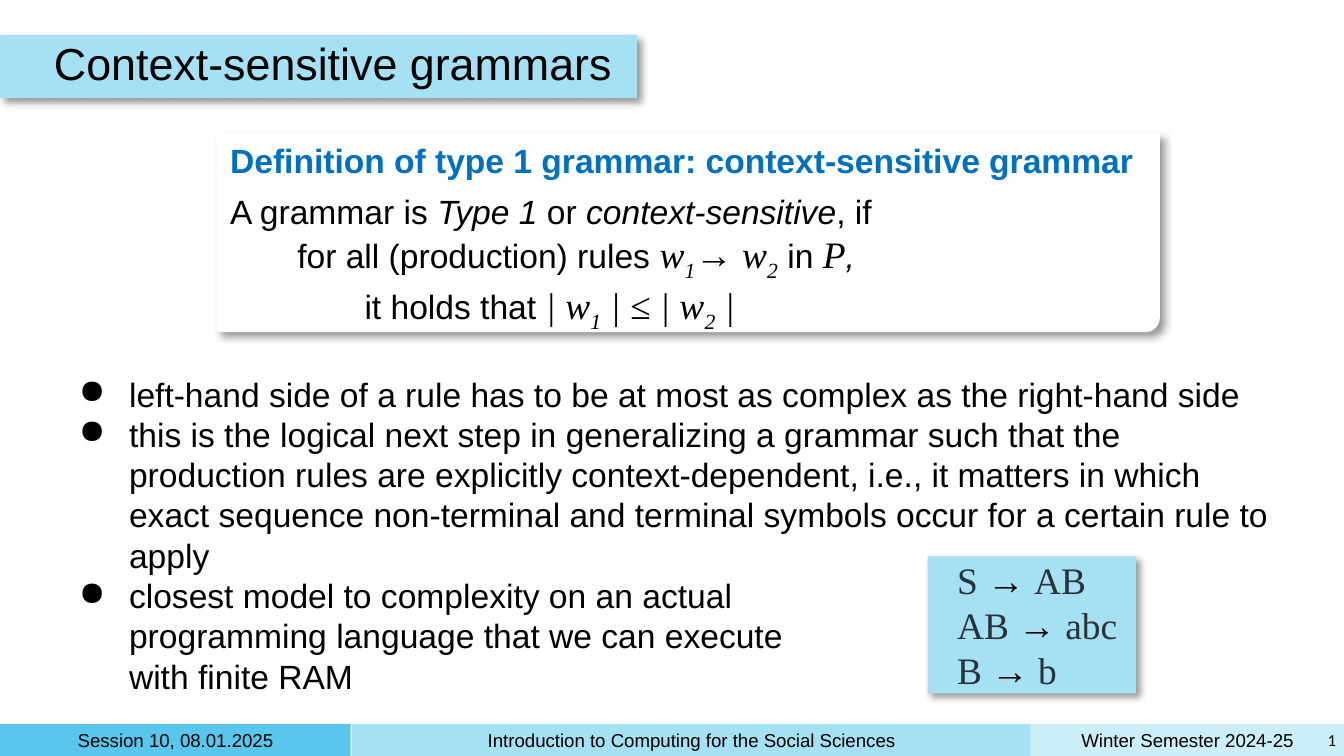
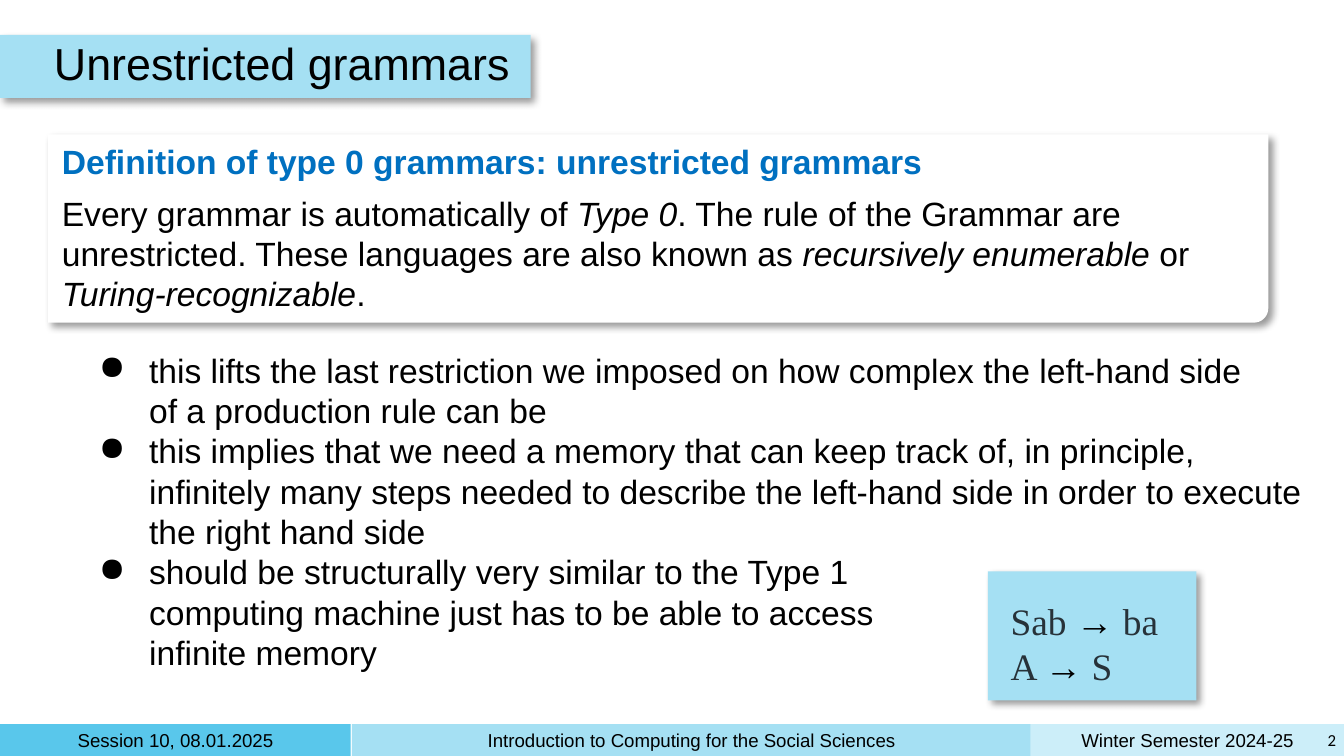
import math
from lxml import etree
from pptx import Presentation, util as u
from pptx.dml.color import RGBColor
from pptx.enum import shapes, text
from pptx.oxml import ns

BLACK, WHITE, BLUE, SLATE = "000000", "FFFFFF", "0070C0", "273239"
DEEP, SKY, PALE = "59C7EB", "A5E0F3", "CCEEF9"
SANS, SERIF = "Arial", "Times New Roman"
LEFT, MID, RIGHT = (getattr(text.PP_ALIGN, n) for n in ("LEFT", "CENTER", "RIGHT"))

BODY = dict(font=SANS, size=18)
HEAD = dict(BODY, hue=BLUE, bold=True)
SLANT = dict(BODY, italic=True)
MATH = dict(font=SERIF, size=20, italic=True)
SUB = dict(MATH, base=-25)
SYMBOL = dict(font=SERIF, size=20, hue=SLATE)

# left, width, colour, label
FOOTER = [(19.48, 5.92, PALE, "Winter Semester 2024-25"),
          (0, 6.63, DEEP, "Session 10, 08.01.2025"),
          (6.65, 12.83, SKY, "Introduction to Computing for the Social Sciences")]


def color(code):
    return RGBColor.from_string(code)


def node(parent, tag, **attrs):
    return etree.SubElement(parent, ns.qn(tag), attrs)


def write(par, words, font=SANS, size=18, hue=BLACK, bold=False, italic=False, base=0):
    """Add words to a paragraph; base is the baseline shift in percent."""
    for i, line in enumerate(words.split("\n")):
        if i:
            par.add_line_break()
        run = par.add_run()
        run.text = line
        run.font.name, run.font.size = font, u.Pt(size)
        run.font.bold, run.font.italic = bold, italic
        run.font.color.rgb = color(hue)
        if base:
            run.font._element.set("baseline", str(base * 1000))


class Deck:
    def __init__(self):
        self.prs = Presentation()
        self.prs.slide_width, self.prs.slide_height = u.Cm(25.4), u.Cm(14.29)
        self.slide = None

    def start(self, number):
        self.slide = self.prs.slides.add_slide(self.prs.slide_layouts[6])
        for x, w, hue, label in FOOTER:
            self.band(x, 13.69, w, 0.6, hue)
            self.box(x + 0.13, 13.74, w - 0.26, 0.5, [[(label, dict(size=10))]],
                     align=MID, middle=True)
        box = self.box(24.77, 13.67, 0.61, 0.62,
                       [[(number, dict(font="Calibri", size=9))]], align=RIGHT, middle=True)
        self.field(box.text_frame.paragraphs[0])

    def field(self, par):
        """Turn the only run of a paragraph into the slide number."""
        run = par.runs[0]._r
        run.tag = ns.qn("a:fld")
        run.set("id", "{B6F15528-21DE-4FAA-801E-634DDDAF4B2B}")
        run.set("type", "slidenum")

    def paint(self, shape, hue, shade):
        shape.fill.solid()
        shape.fill.fore_color.rgb = color(hue)
        shape.line.fill.background()
        shape.shadow.inherit = False
        if shade:
            glow = node(shape._element.spPr.find(ns.qn("a:effectLst")), "a:outerShdw",
                        blurRad=str(u.Pt(4)), dist=str(u.Pt(3)), dir="2700000",
                        algn="tl", rotWithShape="0")
            node(node(glow, "a:srgbClr", val=BLACK), "a:alpha", val="40000")

    def band(self, x, y, w, h, hue=SKY, shade=False):
        shape = self.slide.shapes.add_shape(
            shapes.MSO_SHAPE.RECTANGLE, *map(u.Cm, (x, y, w, h)))
        self.paint(shape, hue, shade)

    def card(self, x, y, w, h, r=0.27):
        """Draw a white panel whose lower right corner is round."""
        turns = [math.radians(a) for a in range(0, 91, 10)]
        arc = [(x + w - r + r * math.cos(t), y + h - r + r * math.sin(t)) for t in turns]
        points = [(u.Cm(a), u.Cm(b)) for a, b in [(x, y), (x + w, y), *arc, (x, y + h)]]
        pen = self.slide.shapes.build_freeform(*points[0])
        pen.add_line_segments(points[1:], close=True)
        self.paint(pen.convert_to_shape(), WHITE, True)

    def box(self, x, y, w, h, pars, align=LEFT, middle=False, bullet=False, gap=0, lead=None):
        """Place paragraphs, each a list of (words, format) pairs."""
        box = self.slide.shapes.add_textbox(*map(u.Cm, (x, y, w, h)))
        frame = box.text_frame
        frame.word_wrap = True
        frame.margin_left = frame.margin_right = u.Cm(0.13)
        frame.margin_top = frame.margin_bottom = u.Cm(0.13)
        frame.vertical_anchor = text.MSO_ANCHOR.MIDDLE if middle else text.MSO_ANCHOR.TOP
        for i, runs in enumerate(pars):
            par = frame.add_paragraph() if i else frame.paragraphs[0]
            if bullet:
                self.bullet(par)
            par.alignment = align
            if lead:
                par.line_spacing = lead
            if i and gap:
                par.space_before = u.Pt(gap)
            for words, form in runs:
                write(par, words, **form)
        return box

    def bullet(self, par):
        props = par._p.get_or_add_pPr()
        props.set("marL", str(u.Cm(1.27)))
        props.set("indent", str(-u.Cm(0.95)))
        node(node(props, "a:buClr"), "a:srgbClr", val=BLACK)
        node(props, "a:buChar", char="●")

    def title(self, words, w):
        self.band(0, 0.66, w, 1.19, shade=True)
        self.box(0.89, 0.66, 21.84, 1.19, [[(words, dict(size=24))]], middle=True, lead=0.9)

    def points(self, x, y, items):
        self.box(x, y, 23.34, 6.4, [[(item, BODY)] for item in items], bullet=True)

    def rules(self, x, y, w, h, pairs):
        """List production rules, each a pair of sides."""
        self.box(x, y, w, h, [[(a + " ", SYMBOL), ("→ ", MATH), (b, SYMBOL)]
                              for a, b in pairs])


def context(deck):
    deck.start("6")
    deck.band(17.53, 10.52, 3.94, 2.59, shade=True)
    deck.card(4.09, 2.51, 17.83, 3.77)
    deck.box(4.22, 2.51, 19.05, 3.71, [
        [("Definition of type 1 grammar: context-sensitive grammar", HEAD)],
        [("A grammar is ", BODY), ("Type 1", SLANT), (" or ", BODY),
         ("context-sensitive", SLANT), (", if \n\tfor all (production) rules ", BODY),
         ("w", MATH), ("1", SUB), ("→ w", MATH), ("2", SUB), (" in ", BODY),
         ("P", MATH), (", \n\t\t", SLANT), ("it holds that ", BODY),
         ("| w", MATH), ("1", SUB), (" | ≤ | w", MATH), ("2", SUB), (" |", MATH)],
    ], gap=6)
    deck.points(1.04, 6.93, [
        "left-hand side of a rule has to be at most as complex as the right-hand side",
        "this is the logical next step in generalizing a grammar such that the production "
        "rules are explicitly context-dependent, i.e., it matters in which exact sequence "
        "non-terminal and terminal symbols occur for a certain rule to apply",
        "closest model to complexity on an actual \n"
        "programming language that we can execute\nwith finite RAM"])
    deck.title("Context-sensitive grammars", 12.04)
    deck.rules(17.96, 10.41, 4.78, 2.82, [("S", "AB"), ("AB", "abc"), ("B", "b")])


def free(deck):
    deck.start("7")
    deck.band(18.67, 10.8, 3.94, 2.44, shade=True)
    deck.card(0.91, 2.54, 23.06, 3.56)
    deck.box(1.04, 2.54, 22.48, 3.56, [
        [("Definition of type 0 grammars: unrestricted grammars", HEAD)],
        [("Every grammar is automatically of ", BODY), ("Type 0", SLANT),
         (". The rule of the Grammar are unrestricted. "
          "These languages are also known as ", BODY),
         ("recursively enumerable ", SLANT), ("or ", BODY),
         ("Turing-recognizable", SLANT), (".", BODY)],
    ], gap=6)
    deck.points(1.42, 6.48, [
        "this lifts the last restriction we imposed on how complex the left-hand side\n"
        "of a production rule can be",
        "this implies that we need a memory that can keep track of, in principle, infinitely "
        "many steps needed to describe the left-hand side in order to execute the right hand side",
        "should be structurally very similar to the Type 1 \n"
        "computing machine just has to be able to access\ninfinite memory"])
    deck.title("Unrestricted grammars", 10.03)
    deck.rules(18.97, 11.18, 3.94, 1.96, [("Sab", "ba"), ("A", "S")])


def main():
    deck = Deck()
    context(deck)
    free(deck)
    deck.prs.save("out.pptx")


if __name__ == "__main__":
    main()
